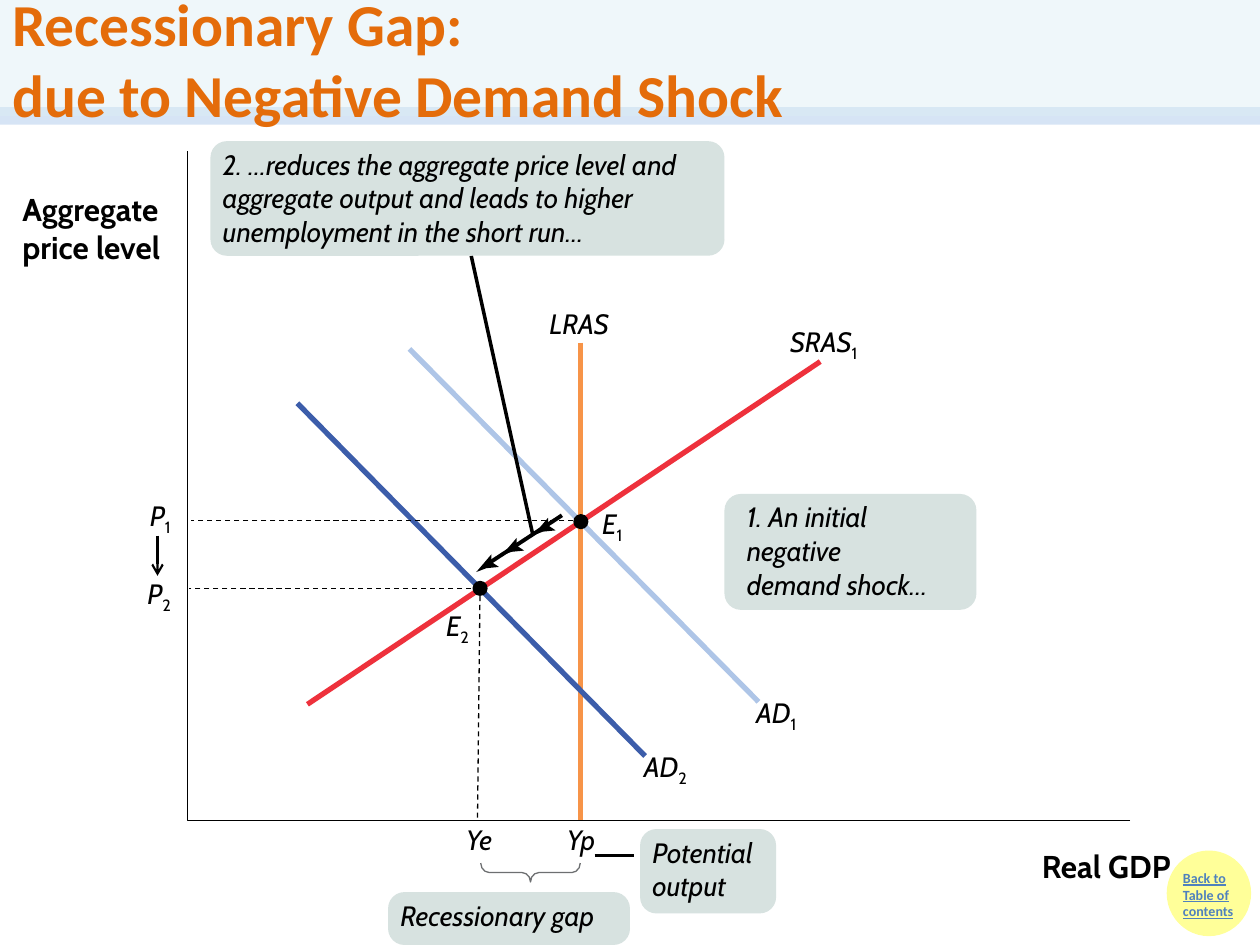
import collections

import lxml.etree
import pptx
import pptx.dml.color
import pptx.enum.dml
import pptx.enum.shapes
import pptx.enum.text
import pptx.oxml.ns
import pptx.util

RGBColor = pptx.dml.color.RGBColor
Shape = pptx.enum.shapes.MSO_SHAPE
Anchor = pptx.enum.text.MSO_ANCHOR
qn = pptx.oxml.ns.qn

BLACK = RGBColor(0x00, 0x00, 0x00)
BAND = RGBColor(0xDB, 0xEE, 0xF4)
BAND_RULE = RGBColor(0xC6, 0xD9, 0xF1)
TITLE = RGBColor(0xE4, 0x6C, 0x0A)
CALLOUT = RGBColor(0xD7, 0xE2, 0xE0)
BUTTON = RGBColor(0xFF, 0xFF, 0x99)
LINK = RGBColor(0x4F, 0x81, 0xBD)
SUPPLY = RGBColor(0xEE, 0x31, 0x3C)
POTENTIAL = RGBColor(0xF7, 0x94, 0x48)
DEMAND_OLD = RGBColor(0xAE, 0xC5, 0xE7)
DEMAND_NEW = RGBColor(0x3C, 0x5D, 0xAA)
BRACE = RGBColor(0x6D, 0x6F, 0x71)

LABEL = {"name": "Cabin", "size": pptx.util.Pt(16), "italic": True}
AXIS_TITLE = {"name": "Cabin", "size": pptx.util.Pt(18), "bold": True}
HEADING = {"name": "Calibri", "size": pptx.util.Pt(34), "bold": True}
LINK_TEXT = {"name": "Calibri", "size": pptx.util.Pt(8), "bold": True, "underline": True}

# The slide is a grid of 100 columns by 75 rows
COLUMNS, ROWS = 100, 75
CELL = pptx.util.Inches(0.1)
Box = collections.namedtuple("Box", "left top width height")


def cells(*counts):
    return [round(count * CELL) for count in counts]


def inside(box, left, top, width=0, height=0):
    return Box(box.left + left, box.top + top, width, height)


def set_alpha(fill_color_parent, percent):
    color = next(fill_color_parent.iter(qn("a:srgbClr")))
    lxml.etree.SubElement(color, qn("a:alpha")).set("val", str(percent * 1000))


def add_text(shape, lines, style, color=BLACK, margins=(1, 0.5), wrap=True,
             anchor=Anchor.TOP, soft_breaks=False):
    """Each line is a string, or a pair of a string and its subscript."""
    frame = shape.text_frame
    frame.word_wrap, frame.vertical_anchor = wrap, anchor
    frame.margin_left, frame.margin_top = cells(*margins)
    frame.margin_right, frame.margin_bottom = cells(*margins)
    para = frame.paragraphs[0]
    for number, line in enumerate(lines):
        if number and soft_breaks:
            para.add_line_break()
        elif number:
            para = frame.add_paragraph()
        para.alignment = pptx.enum.text.PP_ALIGN.LEFT
        parts = (line,) if isinstance(line, str) else line
        for position, text in enumerate(parts):
            span = para.add_run()
            span.text = text
            for name, value in style.items():
                setattr(span.font, name, value)
            span.font.color.rgb = color
            if position:
                span.font.italic = False
                span.font._element.set("baseline", "-25000")


def add_text_box(page, box, lines, style, **options):
    add_text(page.shapes.add_textbox(*cells(*box)), lines, style, **options)


def add_filled(page, kind, box, color):
    shape = page.shapes.add_shape(kind, *cells(*box))
    shape.shadow.inherit = False
    shape.fill.solid()
    shape.fill.fore_color.rgb = color
    shape.line.fill.background()
    return shape


def add_line(page, box, start, end, color=BLACK, width=0, dashed=False, arrow=False):
    origin = (box.left, box.top)
    ends = [a + b for point in (start, end) for a, b in zip(origin, point)]
    line = page.shapes.add_connector(pptx.enum.shapes.MSO_CONNECTOR.STRAIGHT, *cells(*ends))
    line.line.color.rgb = color
    line.line.width = pptx.util.Pt(width)
    if dashed:
        line.line.dash_style = pptx.enum.dml.MSO_LINE.DASH
    properties = line._element.spPr
    if arrow:
        lxml.etree.SubElement(properties.find(qn("a:ln")), qn("a:tailEnd")).set("type", "arrow")
    lxml.etree.SubElement(properties, qn("a:effectLst"))
    return line


def add_outline(page, box, points, closed):
    placed = [cells(box.left + x, box.top + y) for x, y in points]
    builder = page.shapes.build_freeform(*placed[0])
    builder.add_line_segments(placed[1:], close=closed)
    shape = builder.convert_to_shape()
    shape.shadow.inherit = False
    return shape


def add_callout(page, box, lines, indent=0.6):
    shape = add_filled(page, Shape.ROUNDED_RECTANGLE, box, CALLOUT)
    shape.adjustments[0] = 1.3 / box.height
    add_text(shape, lines, LABEL, margins=(indent, 0.1))


def draw_title(page, box):
    band = add_filled(page, Shape.RECTANGLE, box, BAND)
    set_alpha(band._element.spPr, 44)
    add_text(band, ["Recessionary Gap:", "due to Negative Demand Shock"], HEADING,
             color=TITLE, anchor=Anchor.MIDDLE, soft_breaks=True)


def draw_band_rule(page, box):
    rule = add_line(page, box, (0, box.height), (box.width, box.height), BAND_RULE, 10)
    set_alpha(rule._element.spPr, 71)


def draw_contents_button(page, box):
    add_filled(page, Shape.OVAL, box, BUTTON)
    add_text_box(page, inside(box, 0.3, 1, 7.2, 6.7), ["Back to Table of contents"],
                 LINK_TEXT, color=LINK)


def draw_graph(page, box):
    # Curves
    for start, end, color in [
        ((9.5, 43.9), (50.2, 16.7), SUPPLY),
        ((31.2, 15.2), (31.2, box.height), POTENTIAL),
        ((36.3, 48), (8.7, 20), DEMAND_NEW),
        ((45.3, 43.7), (17.6, 15.7), DEMAND_OLD),
    ]:
        add_line(page, box, start, end, color, 3)

    # Guides from each equilibrium to the axes
    for start, end in [((30.6, 29.3), (0.3, 29.3)), ((22.5, 34.7), (0.1, 34.7)),
                       ((23, 52.9), (23.2, 34.7))]:
        add_line(page, box, start, end, width=0.75, dashed=True)

    # Axes
    axes = add_outline(page, box, [(box.width, box.height), (0, box.height), (0, 0)], False)
    axes.fill.background()
    axes.line.color.rgb = BLACK
    axes.line.width = 0
    add_text_box(page, inside(box, 66.8, 54.7, 15.8, 4), ["Real GDP"], AXIS_TITLE)
    add_text_box(page, inside(box, -14.1, 2.6, 16.7, 7), ["Aggregate price level"], AXIS_TITLE)

    # Equilibrium points
    for x, y in [(31.2, 29.4), (23.2, 34.7)]:
        add_filled(page, Shape.OVAL, inside(box, x - 0.6, y - 0.6, 1.2, 1.2), BLACK)

    # Movement along the supply curve, and the fall in price
    add_line(page, box, (29.7, 28.9), (23.9, 32.7), width=2.25)
    arrowhead = [(0, 0), (1.2, -1.4), (1.2, -0.8), (1.8, -0.4), (0.8, -0.3)]
    for x, y in [(22.9, 33.4), (24.9, 32.1), (27.4, 30.5)]:
        head = add_outline(page, inside(box, x, y), arrowhead, True)
        head.fill.solid()
        head.fill.fore_color.rgb = BLACK
        head.line.fill.background()
    add_line(page, box, (-2.4, 30.5), (-2.4, 33.7), width=1.25, arrow=True)

    # Labels
    for text, x, y, width in [
        ("Yp", 30.1, 53.3, 2.6), ("Ye", 22.1, 53.3, 2.6), ("LRAS", 28.7, 12.3, 5.8),
        (("SRAS", "1"), 47.8, 13.8, 6.9), (("P", "1"), -3, 27.6, 2.3),
        (("P", "2"), -3.2, 33.8, 2.3), (("E", "1"), 32.9, 28.2, 2.3),
        (("E", "2"), 20.5, 36.3, 2.3), (("AD", "1"), 45.1, 43.2, 3.9),
        (("AD", "2"), 36.2, 47.5, 3.9),
    ]:
        add_text_box(page, inside(box, x, y, width, 2.7), [text], LABEL,
                     margins=(0, 0), wrap=False)


def draw_shock_notes(page, box):
    add_line(page, box, (20.7, 9.1), (25.6, 31.3))
    add_callout(page, inside(box, 0, 0, 40.8, 9.1), [
        "2. …reduces the aggregate price level and aggregate output "
        "and leads to higher unemployment in the short run…"])
    add_callout(page, inside(box, 40.8, 28, 20, 9.2),
                ["1. An initial", "negative", "demand shock…"], indent=1.4)


def draw_gap_notes(page, box):
    add_line(page, box, (16.4, 2.1), (19.5, 2.1))
    add_callout(page, inside(box, 20, 0, 10.8, 6.7), ["Potential", "output"])
    add_callout(page, inside(box, 0, 5, 19.2, 4.2), ["Recessionary gap"])
    # The brace is turned to point down, so its sides are swapped
    span, depth, x, y = 7.9, 1.5, 11.3, 3.45
    brace = page.shapes.add_shape(Shape.RIGHT_BRACE, *cells(
        *inside(box, x - depth / 2, y - span / 2, depth, span)))
    brace.rotation = 90
    brace.adjustments[0] = 0.45
    brace.shadow.inherit = False
    brace.fill.background()
    brace.line.color.rgb = BRACE
    brace.line.width = 0


def main():
    deck = pptx.Presentation()
    deck.slide_width, deck.slide_height = cells(COLUMNS, ROWS)
    page = deck.slides.add_slide(deck.slide_layouts[6])
    header = Box(0, 0, COLUMNS, 9.2)
    draw_band_rule(page, header)
    draw_contents_button(page, Box(92.6, 67.5, 6.7, 6.8))
    draw_graph(page, Box(14.9, 12, 74.8, 53.1))
    draw_shock_notes(page, Box(16.7, 11.2, 60.8, 37.2))
    draw_gap_notes(page, Box(30.8, 65.8, 30.8, 9.2))
    draw_title(page, header)
    deck.save("out.pptx")


if __name__ == "__main__":
    main()
